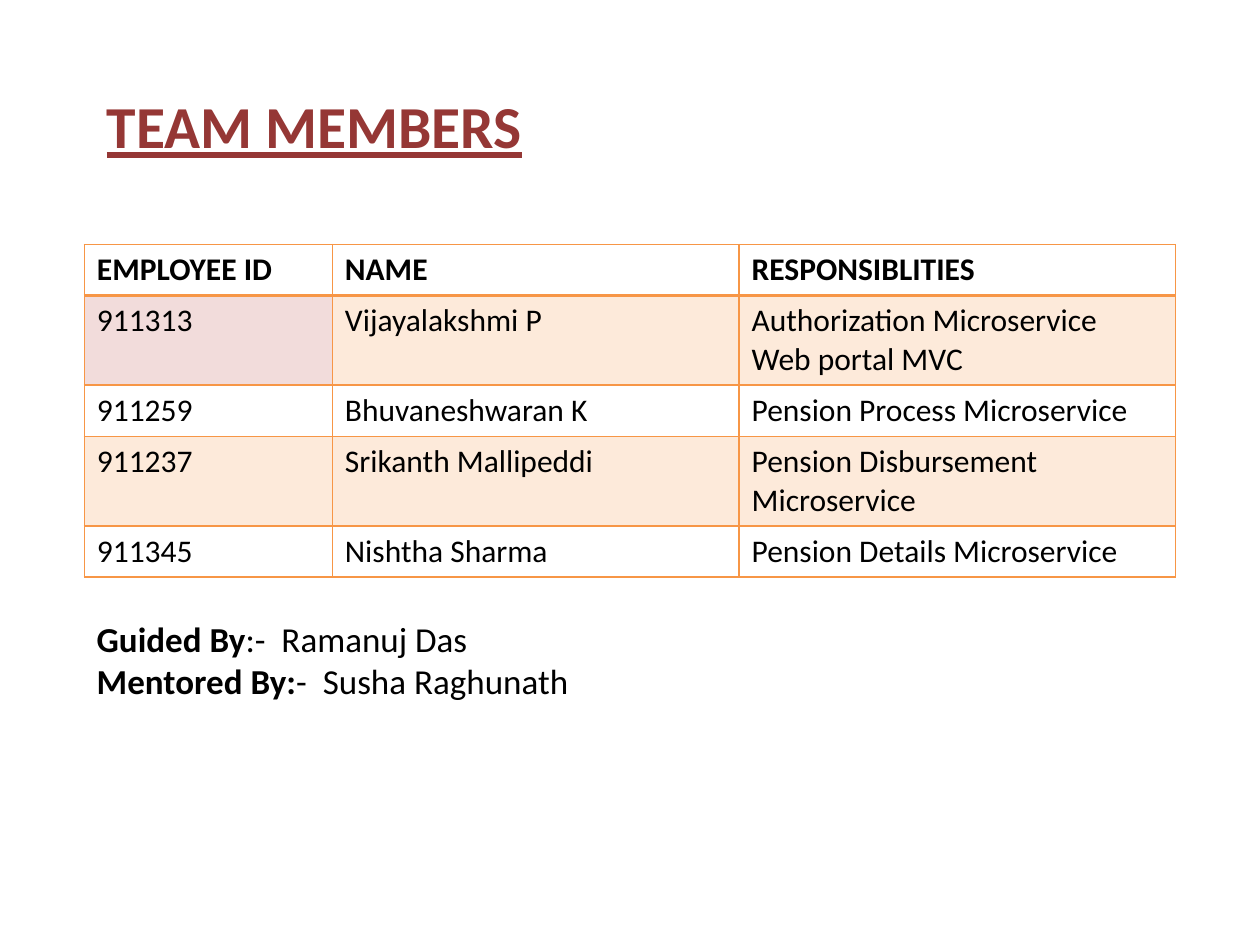
from lxml.etree import SubElement
from pptx import Presentation
from pptx.dml.color import RGBColor
from pptx.enum.text import MSO_ANCHOR, MSO_AUTO_SIZE, PP_ALIGN
from pptx.oxml.ns import qn
from pptx.util import Cm, Pt

COLORS = {
    "title": "953735",
    "text": "000000",
    "background": "FFFFFF",
    "orange": "F79646",
    "red": "C0504D",
}
HEADER = ["EMPLOYEE ID", "NAME", "RESPONSIBLITIES"]
MEMBERS = [
    ["911313", "Vijayalakshmi P", "Authorization Microservice\nWeb portal MVC"],
    ["911259", "Bhuvaneshwaran K", "Pension Process Microservice"],
    ["911237", "Srikanth Mallipeddi", "Pension Disbursement Microservice"],
    ["911345", "Nishtha Sharma", "Pension Details Microservice"],
]
COLUMN_WIDTHS = [5, 8.2, 8.8]
ROW_HEIGHTS = [1.03, 1.8, 1.03, 1.8, 1.03]
CREDITS = [
    [("Guided By", True), (":-  Ramanuj Das", False)],
    [("Mentored By:", True), ("-  Susha Raghunath", False)],
]


def add_run(paragraph, text, *, font, size, color="text", bold=False, underline=False):
    run = paragraph.add_run()
    run.text = text
    run.font.name = font
    run.font.size = Pt(size)
    run.font.color.rgb = RGBColor.from_string(COLORS[color])
    run.font.bold = bold
    run.font.underline = underline


def paragraphs_of(frame, count):
    """Yield the given number of paragraphs, beginning with the existing one."""
    yield frame.paragraphs[0]
    for _ in range(count - 1):
        yield frame.add_paragraph()


class TeamSlide:
    def __init__(self, slide, font="Calibri"):
        self.slide = slide
        self.font = font

    def title(self, text, left, top, width, height):
        heading = self.slide.shapes.title
        heading.left, heading.top = Cm(left), Cm(top)
        heading.width, heading.height = Cm(width), Cm(height)
        heading.fill.solid()
        heading.fill.fore_color.rgb = RGBColor.from_string(COLORS["background"])
        frame = heading.text_frame
        frame.vertical_anchor = MSO_ANCHOR.MIDDLE
        frame.paragraphs[0].alignment = PP_ALIGN.LEFT
        add_run(frame.paragraphs[0], text, font=self.font, size=34,
                color="title", bold=True, underline=True)

    def table(self, rows, left, top):
        table = self.slide.shapes.add_table(
            len(rows), len(COLUMN_WIDTHS), Cm(left), Cm(top),
            Cm(sum(COLUMN_WIDTHS)), Cm(sum(ROW_HEIGHTS))).table
        table.horz_banding = False
        for column, width in zip(table.columns, COLUMN_WIDTHS):
            column.width = Cm(width)
        for row, height in zip(table.rows, ROW_HEIGHTS):
            row.height = Cm(height)
        for r, row in enumerate(rows):
            for c, text in enumerate(row):
                cell = table.cell(r, c)
                lines = text.split("\n")
                for paragraph, line in zip(paragraphs_of(cell.text_frame, len(lines)), lines):
                    add_run(paragraph, line, font=self.font, size=18, bold=r == 0)
                self.borders(cell, top=2 if r == 1 else 1, bottom=2 if r == 0 else 1)
                if r % 2:
                    self.tint(cell, "red" if (r, c) == (1, 0) else "orange")
                else:
                    cell.fill.background()

    def borders(self, cell, top, bottom):
        properties = cell._tc.get_or_add_tcPr()
        for side, width in (("L", 1), ("R", 1), ("T", top), ("B", bottom)):
            line = SubElement(properties, qn(f"a:ln{side}"), w=str(Pt(width)))
            fill = SubElement(line, qn("a:solidFill"))
            SubElement(fill, qn("a:srgbClr"), val=COLORS["orange"])

    def tint(self, cell, color):
        """Fill a cell with a colour at 20 % opacity."""
        cell.fill.solid()
        cell.fill.fore_color.rgb = RGBColor.from_string(COLORS[color])
        shade = cell._tc.tcPr.find(f"{qn('a:solidFill')}/{qn('a:srgbClr')}")
        SubElement(shade, qn("a:alpha"), val="20000")

    def text(self, lines, left, top, width, height):
        box = self.slide.shapes.add_textbox(Cm(left), Cm(top), Cm(width), Cm(height))
        frame = box.text_frame
        frame.word_wrap = True
        frame.auto_size = MSO_AUTO_SIZE.SHAPE_TO_FIT_TEXT
        for paragraph, parts in zip(paragraphs_of(frame, len(lines)), lines):
            for part, bold in parts:
                add_run(paragraph, part, font=self.font, size=20, bold=bold)


def main():
    deck = Presentation()
    deck.slide_width, deck.slide_height = Cm(25.4), Cm(19.05)
    slide = deck.slides.add_slide(deck.slide_layouts[0])
    subtitle = slide.placeholders[1].element
    subtitle.getparent().remove(subtitle)

    team = TeamSlide(slide)
    team.title("TEAM MEMBERS", 1.9, 1.32, 21.6, 2.4)
    team.table([HEADER, *MEMBERS], 1.7, 4.93)
    team.text(CREDITS, 1.7, 12.32, 10.4, 1.96)
    deck.save("out.pptx")


if __name__ == "__main__":
    main()
